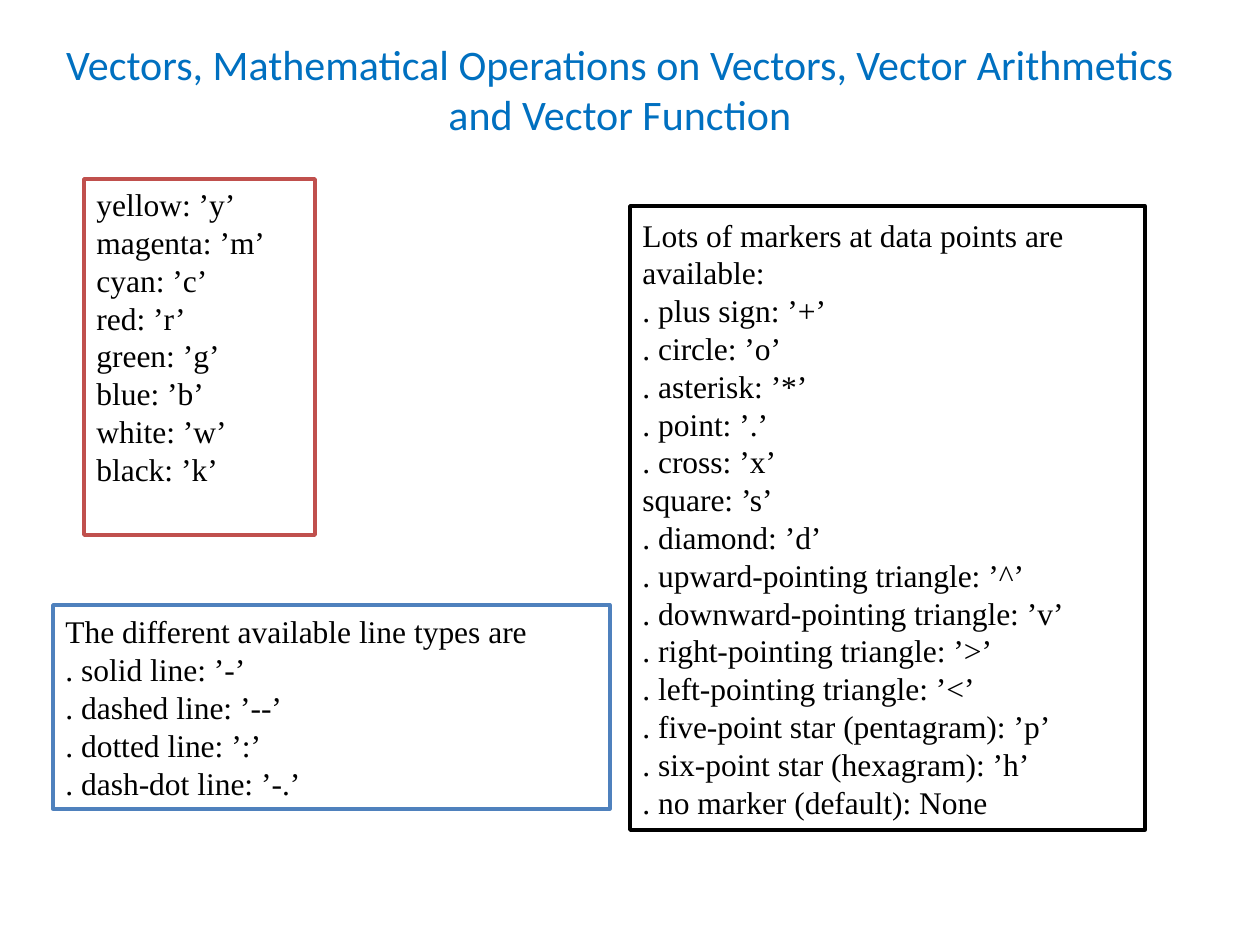
from pptx import Presentation
from pptx.dml.color import RGBColor
from pptx.enum.shapes import MSO_SHAPE
from pptx.enum.text import MSO_ANCHOR, PP_ALIGN
from pptx.util import Emu, Pt

PX_PER_INCH = 126

TITLE = ("Vectors, Mathematical Operations on Vectors, "
         "Vector Arithmetics and Vector Function")
COLOURS = ["yellow: ’y’", "magenta: ’m’", "cyan: ’c’", "red: ’r’",
           "green: ’g’", "blue: ’b’", "white: ’w’", "black: ’k’"]
LINE_TYPES = ["The different available line types are", ". solid line: ’-’",
              ". dashed line: ’--’", ". dotted line: ’:’",
              ". dash-dot line: ’-.’"]
MARKERS = ["Lots of markers at data points are available:",
           ". plus sign: ’+’", ". circle: ’o’", ". asterisk: ’*’",
           ". point: ’.’", ". cross: ’x’", "square: ’s’", ". diamond: ’d’",
           ". upward-pointing triangle: ’^’",
           ". downward-pointing triangle: ’v’",
           ". right-pointing triangle: ’>’", ". left-pointing triangle: ’<’",
           ". five-point star (pentagram): ’p’",
           ". six-point star (hexagram): ’h’", ". no marker (default): None"]


def px(n):
    return Emu(round(n * 914400 / PX_PER_INCH))


def rgb(colour):
    return RGBColor.from_string(colour)


def write(tf, lines, font, size, colour, align):
    """Fill a text frame with one paragraph per line."""
    tf.word_wrap = True
    tf.text = "\n".join(lines)
    for p in tf.paragraphs:
        p.alignment = align
        for r in p.runs:
            r.font.name = font
            r.font.size = Pt(size)
            r.font.color.rgb = rgb(colour)


def add_title(s, text, box):
    sp = s.shapes.add_textbox(*map(px, box))
    write(sp.text_frame, [text], "Calibri", 24, "0070C0", PP_ALIGN.CENTER)


def add_list_box(s, lines, box, border, align=PP_ALIGN.JUSTIFY,
                 anchor=MSO_ANCHOR.MIDDLE):
    sp = s.shapes.add_shape(MSO_SHAPE.RECTANGLE, *map(px, box))
    sp.shadow.inherit = False
    sp.fill.solid()
    sp.fill.fore_color.rgb = rgb("FFFFFF")
    sp.line.color.rgb = rgb(border)
    sp.line.width = Pt(2)
    sp.text_frame.vertical_anchor = anchor
    write(sp.text_frame, lines, "Times New Roman", 18, "000000", align)


def main():
    prs = Presentation()
    prs.slide_width, prs.slide_height = px(1260), px(945)
    s = prs.slides.add_slide(prs.slide_layouts[6])
    add_title(s, TITLE, (53, 32, 1134, 115))
    add_list_box(s, COLOURS, (84, 179, 231, 356), "C0504D",
                 anchor=MSO_ANCHOR.TOP)
    add_list_box(s, LINE_TYPES, (53, 605, 557, 204), "4F81BD")
    add_list_box(s, MARKERS, (630, 206, 515, 624), "000000",
                 align=PP_ALIGN.LEFT)
    prs.save("out.pptx")


if __name__ == "__main__":
    main()
